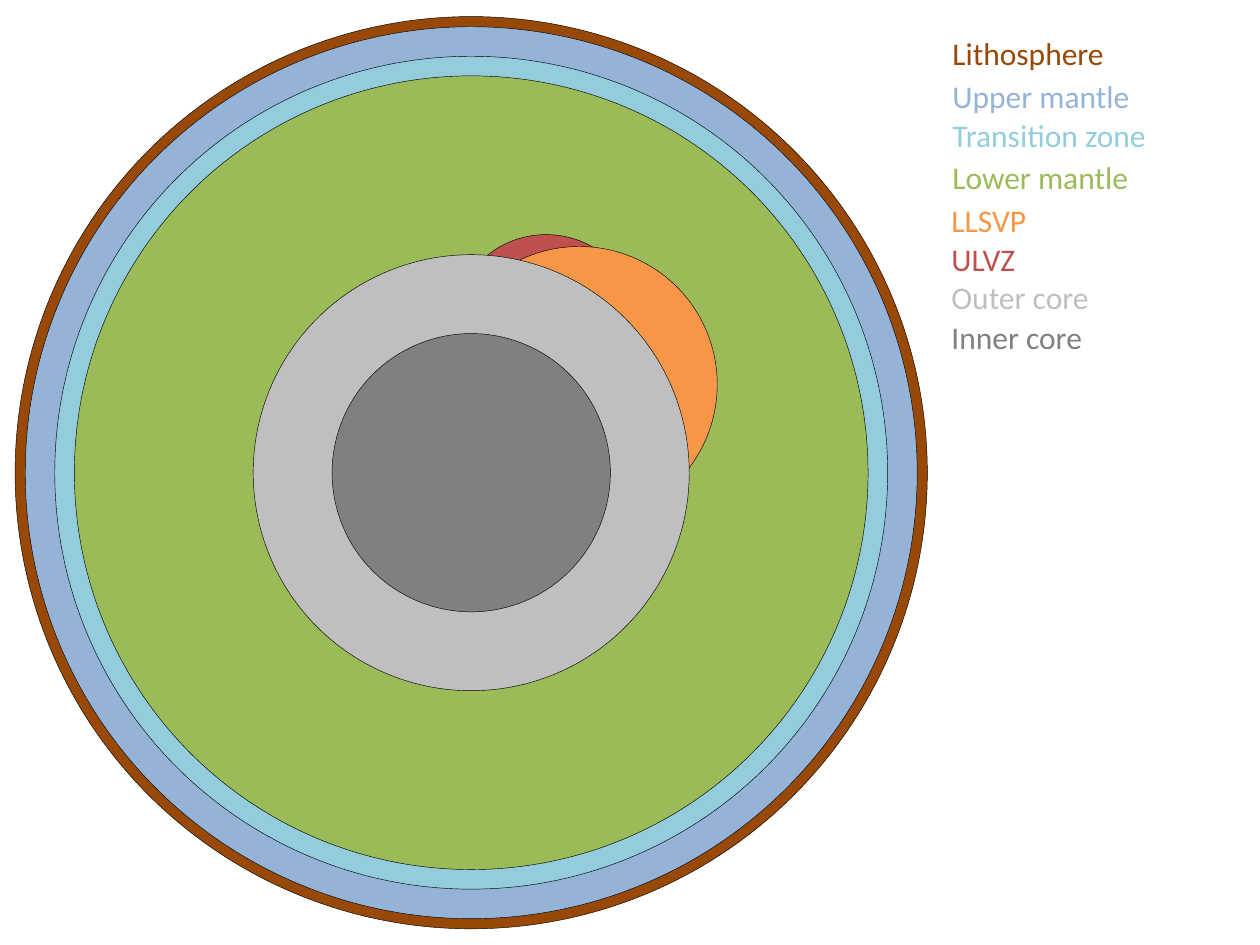
from dataclasses import dataclass

from pptx import Presentation
from pptx.dml.color import RGBColor
from pptx.enum.shapes import MSO_SHAPE as Shape
from pptx.enum.text import MSO_AUTO_SIZE as AutoSize
from pptx.slide import Slide
from pptx.util import Cm, Pt

BLACK = RGBColor(0x00, 0x00, 0x00)
BROWN = RGBColor(0x98, 0x48, 0x07)
BLUE = RGBColor(0x95, 0xB3, 0xD7)
AQUA = RGBColor(0x93, 0xCD, 0xDD)
GREEN = RGBColor(0x9B, 0xBB, 0x59)
RED = RGBColor(0xC0, 0x50, 0x4D)
ORANGE = RGBColor(0xF7, 0x96, 0x46)
LIGHT_GREY = RGBColor(0xBF, 0xBF, 0xBF)
DARK_GREY = RGBColor(0x80, 0x80, 0x80)

# Centre and diameter in cm, from the outside in
EARTH_CENTRE = (9.5, 9.53)
LAYERS = [
    (EARTH_CENTRE, 18.39, BROWN),
    (EARTH_CENTRE, 17.98, BLUE),
    (EARTH_CENTRE, 16.79, AQUA),
    (EARTH_CENTRE, 16.0, GREEN),
    ((11.01, 6.62), 3.78, RED),
    ((11.68, 7.75), 5.56, ORANGE),
    (EARTH_CENTRE, 8.79, LIGHT_GREY),
    (EARTH_CENTRE, 5.61, DARK_GREY),
]

# Name, left, top and width in cm, colour
LEGEND = [
    ("Lithosphere", 18.95, 0.56, 4.14, BROWN),
    ("Upper mantle", 18.95, 1.43, 4.27, BLUE),
    ("Transition zone", 18.95, 2.21, 4.6, AQUA),
    ("Lower mantle", 18.95, 3.07, 4.22, GREEN),
    ("LLSVP", 18.93, 3.93, 2.11, ORANGE),
    ("ULVZ", 18.93, 4.71, 1.88, RED),
    ("Outer core", 18.93, 5.49, 4.57, LIGHT_GREY),
    ("Inner core", 18.93, 6.29, 3.28, DARK_GREY),
]


def write(frame, text, font="Calibri", size=18, color=BLACK):
    """Put formatted text in the first paragraph of a text frame."""
    run = frame.paragraphs[0].add_run()
    run.text = text
    run.font.name = font
    run.font.size = Pt(size)
    run.font.color.rgb = color


@dataclass
class Diagram:
    """The current slide and the style shared by its elements."""

    slide: Slide
    font: str = "Calibri"
    text_size: float = 18
    outline: float = 0.25
    label_height: float = 1.02

    def circle(self, centre, diameter, color):
        """Draw a filled circle around a centre."""
        left, top = (Cm(value - diameter / 2) for value in centre)
        layer = self.slide.shapes.add_shape(
            Shape.OVAL, left, top, Cm(diameter), Cm(diameter))
        layer.shadow.inherit = False
        layer.fill.solid()
        layer.fill.fore_color.rgb = color
        layer.line.color.rgb = BLACK
        layer.line.width = Pt(self.outline)

    def label(self, name, left, top, width, color):
        """Add a legend entry in the colour of its layer."""
        entry = self.slide.shapes.add_textbox(
            Cm(left), Cm(top), Cm(width), Cm(self.label_height))
        frame = entry.text_frame
        frame.word_wrap = True
        frame.auto_size = AutoSize.SHAPE_TO_FIT_TEXT
        write(frame, name, font=self.font, size=self.text_size, color=color)


def main():
    """Build the section through the Earth and its legend."""
    deck = Presentation()
    deck.slide_width, deck.slide_height = Cm(25.4), Cm(19.05)
    blank_layout = deck.slide_layouts[6]
    diagram = Diagram(deck.slides.add_slide(blank_layout))
    for layer in LAYERS:
        diagram.circle(*layer)
    for entry in LEGEND:
        diagram.label(*entry)
    deck.save("out.pptx")


main()
